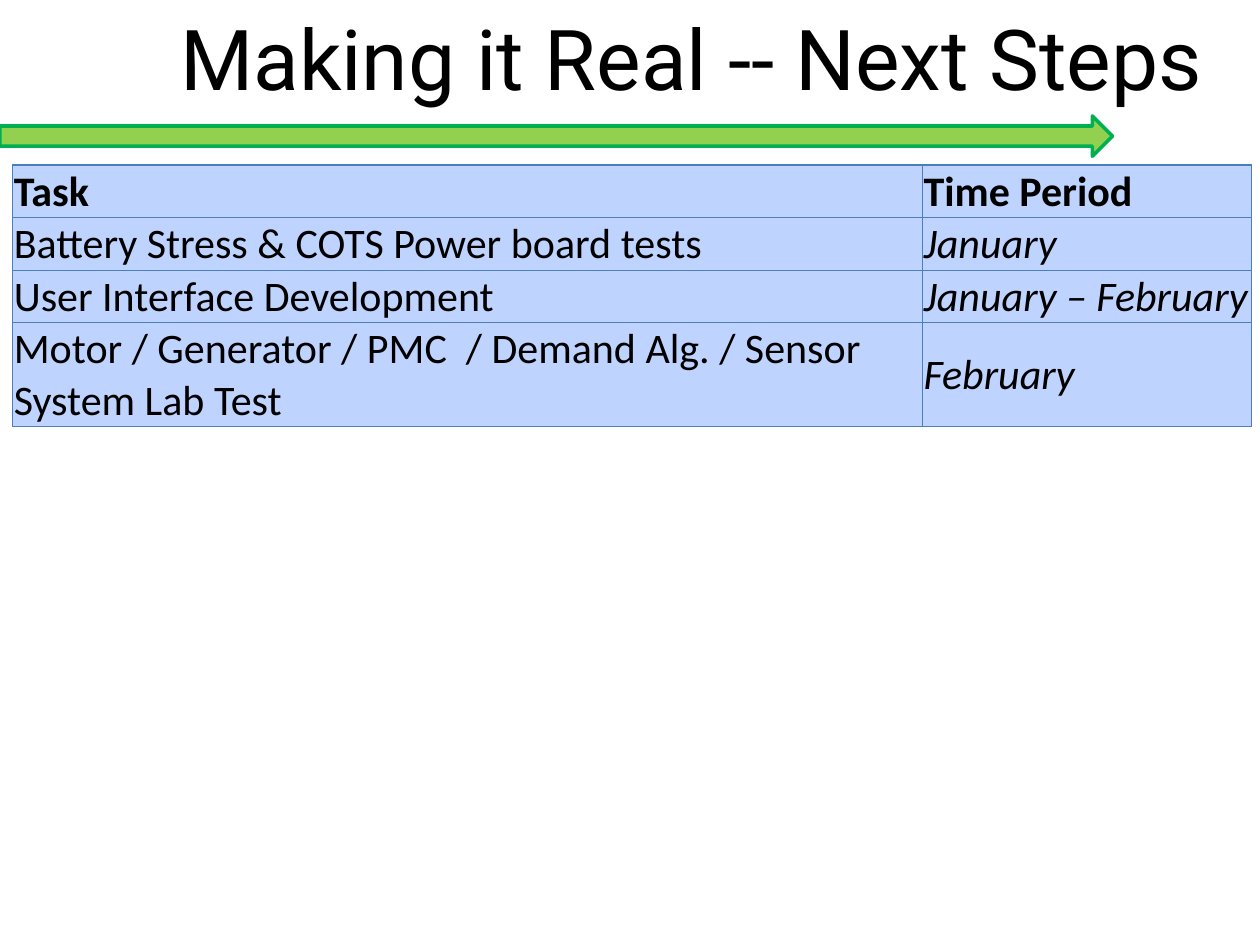
from lxml import etree
from pptx import Presentation
from pptx.dml.color import RGBColor
from pptx.enum import shapes, text
from pptx.oxml import ns
from pptx.util import Inches, Pt

COLORS = {
    "text": "000000",
    "arrow": "92D050",
    "arrow edge": "00B050",
    "cell": "BFD3FF",
    "border": "4B7EBC",
}
SCHEDULE = [
    ("Task", "Time Period"),
    ("Battery Stress & COTS Power board tests", "January"),
    ("User Interface Development", "January – February"),
    ("Motor / Generator / PMC  / Demand Alg. / Sensor System Lab Test", "February"),
]
COLUMN_WIDTHS = [7.22, 2.61]
ROW_HEIGHTS = [0.41, 0.41, 0.41, 0.81]


def rgb(name):
    return RGBColor.from_string(COLORS[name])


def add_borders(cell):
    """Outline all four sides; the lines must precede the cell's fill."""
    properties = cell._tc.get_or_add_tcPr()
    for index, side in enumerate(("lnL", "lnR", "lnT", "lnB")):
        line = etree.Element(ns.qn(f"a:{side}"), w=str(Pt(0.75)))
        fill = etree.SubElement(line, ns.qn("a:solidFill"))
        etree.SubElement(fill, ns.qn("a:srgbClr"), val=COLORS["border"])
        properties.insert(index, line)


prs = Presentation()
prs.slide_width, prs.slide_height = Inches(10), Inches(7.5)
slide = prs.slides.add_slide(prs.slide_layouts[5])

# Title
title = slide.shapes.title
title.left, title.top = Inches(1.33), Inches(0)
title.width, title.height = Inches(8.83), Inches(0.91)
title.text_frame.text = "Making it Real -- Next Steps"
title.text_frame.vertical_anchor = text.MSO_ANCHOR.TOP
title.text_frame.auto_size = text.MSO_AUTO_SIZE.NONE
heading = title.text_frame.paragraphs[0]
heading.alignment = text.PP_ALIGN.LEFT
heading_font = heading.runs[0].font
heading_font.name, heading_font.size = "Roboto", Pt(48)
heading_font.color.rgb = rgb("text")

# Arrow under the title
arrow = slide.shapes.add_shape(
    shapes.MSO_SHAPE.RIGHT_ARROW, Inches(0), Inches(0.92), Inches(8.83), Inches(0.32)
)
arrow.shadow.inherit = False
arrow.fill.solid()
arrow.fill.fore_color.rgb = rgb("arrow")
arrow.line.color.rgb = rgb("arrow edge")
arrow.line.width = Pt(2)

# Schedule
schedule = slide.shapes.add_table(
    len(SCHEDULE), len(COLUMN_WIDTHS), Inches(0.1), Inches(1.31),
    Inches(sum(COLUMN_WIDTHS)), Inches(sum(ROW_HEIGHTS)),
).table
schedule.horz_banding = False
for column, width in zip(schedule.columns, COLUMN_WIDTHS):
    column.width = Inches(width)
for row, height in zip(schedule.rows, ROW_HEIGHTS):
    row.height = Inches(height)

for r, entries in enumerate(SCHEDULE):
    for c, entry in enumerate(entries):
        cell = schedule.cell(r, c)
        cell.margin_left = cell.margin_right = cell.margin_top = Inches(0.01)
        cell.margin_bottom = Inches(0)
        cell.vertical_anchor = text.MSO_ANCHOR.BOTTOM
        cell.fill.solid()
        cell.fill.fore_color.rgb = rgb("cell")
        add_borders(cell)
        cell.text_frame.text = entry
        font = cell.text_frame.paragraphs[0].runs[0].font
        font.name, font.size = "Calibri", Pt(24)
        font.color.rgb = rgb("text")
        font.bold = r == 0
        font.italic = r > 0 and c == 1
schedule.cell(len(SCHEDULE) - 1, 1).vertical_anchor = text.MSO_ANCHOR.MIDDLE

prs.save("out.pptx")
